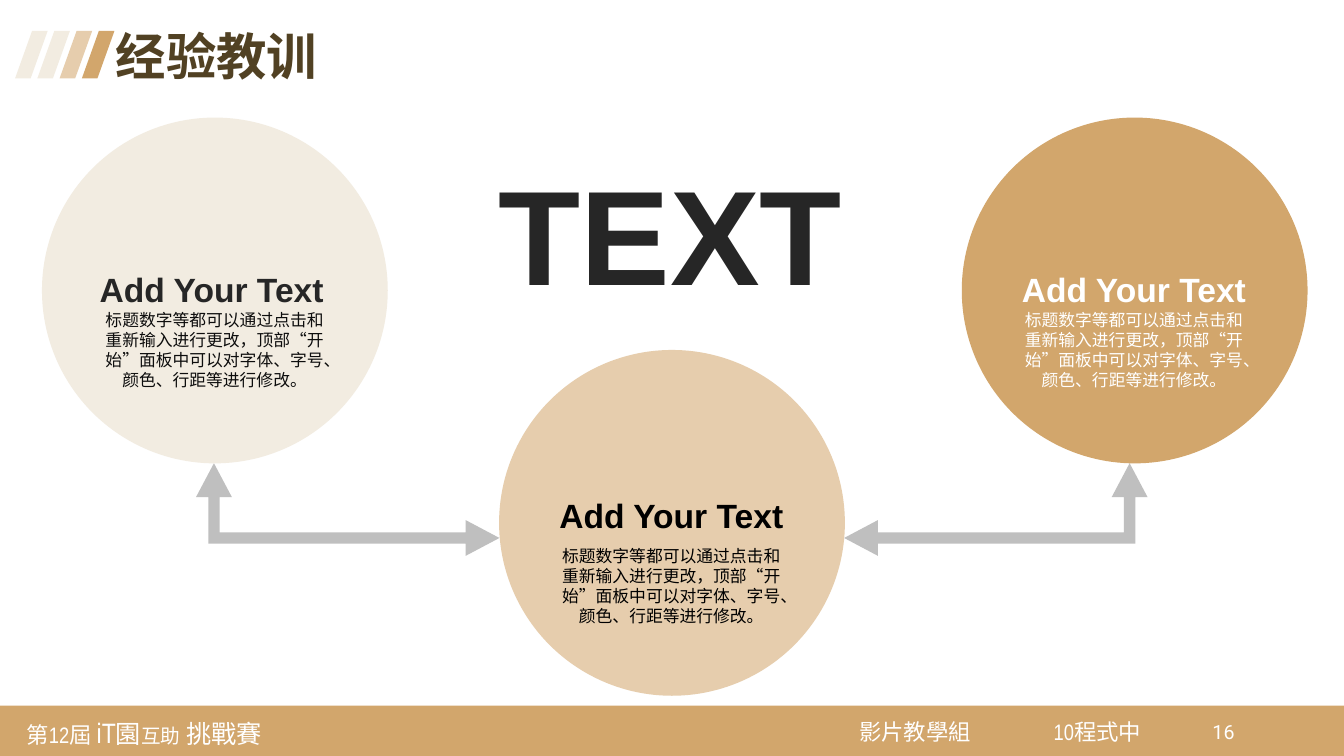
from lxml.etree import SubElement
from pptx import Presentation
from pptx.dml.color import RGBColor
from pptx.enum.shapes import MSO_SHAPE
from pptx.enum.text import MSO_ANCHOR, PP_ALIGN
from pptx.oxml.ns import qn
from pptx.util import Pt

WHITE = RGBColor(0xFF, 0xFF, 0xFF)
BLACK = RGBColor(0, 0, 0)
INK = RGBColor(0x26, 0x26, 0x26)
NEAR_BLACK = RGBColor(0x0D, 0x0D, 0x0D)
BROWN = RGBColor(0x51, 0x41, 0x23)
GOLD = RGBColor(0xD2, 0xA6, 0x6C)
SAND = RGBColor(0xE6, 0xCD, 0xAD)
CREAM = RGBColor(0xF2, 0xEC, 0xE1)
GREY = RGBColor(0xBF, 0xBF, 0xBF)

CJK = "Noto Sans CJK SC"
BODY = ("标题数字等都可以通过点击和重新输入进行更改，顶部“开始”面板中"
        "可以对字体、字号、颜色、行距等进行修改。")


class SlideBuilder:
    """Holds the slide and its text style."""

    def __init__(self, slide):
        self.shapes = slide.shapes

    def shape(self, preset, left, top, width, height, fill, adjustments=()):
        shape = self.shapes.add_shape(preset, Pt(left), Pt(top), Pt(width), Pt(height))
        shape.shadow.inherit = False
        shape.fill.solid()
        shape.fill.fore_color.rgb = fill
        shape.line.fill.background()
        for index, value in enumerate(adjustments):
            shape.adjustments[index] = value
        return shape

    def text(self, left, top, width, height, runs, color, font="Arial", bold=False,
             align=PP_ALIGN.LEFT, wrap=True, spacing=None, footer=False):
        """runs is a list of (text, size) pairs forming one paragraph."""
        box = self.shapes.add_textbox(Pt(left), Pt(top), Pt(width), Pt(height))
        frame = box.text_frame
        frame.word_wrap = wrap
        if footer:
            frame.vertical_anchor = MSO_ANCHOR.MIDDLE
            frame.margin_left = frame.margin_right = Pt(6)
            frame.margin_top = frame.margin_bottom = Pt(6)
        paragraph = frame.paragraphs[0]
        paragraph.alignment = align
        if spacing:
            paragraph.line_spacing = spacing
        style = paragraph.font
        style.name = font
        style.bold = bold
        style.color.rgb = color
        if len(runs) == 1:
            style.size = Pt(runs[0][1])
        for words, size in runs:
            run = paragraph.add_run()
            run.text = words
            if len(runs) > 1:
                run.font.size = Pt(size)
        east_asian = SubElement(paragraph._p.pPr.find(qn("a:defRPr")), qn("a:ea"))
        east_asian.set("typeface", CJK)

    def bent_arrow(self, left, rotation, mirrored=False):
        arrow = self.shape(MSO_SHAPE.LEFT_UP_ARROW, left, 255.6, 66.2, 216.7, GREY,
                           (0.123, 0.193, 0.365))
        arrow.rotation = rotation
        if mirrored:
            arrow._element.spPr.find(qn("a:xfrm")).set("flipH", "1")


def main():
    prs = Presentation()
    prs.slide_width, prs.slide_height = Pt(960), Pt(540)
    page = SlideBuilder(prs.slides.add_slide(prs.slide_layouts[6]))

    # Footer band
    page.shape(MSO_SHAPE.RECTANGLE, 0, 504, 960, 36, GOLD)
    contest = [("第12屆 ", 16), ("iT", 20), ("園", 18), ("互助", 14), (" 挑戰賽", 18)]
    for left, top, width, height, runs in (
            (13, 505.5, 204, 35, contest),
            (607.7, 507, 96, 31, [("影片教學組", 16)]),
            (746.6, 507, 96, 31, [("10程式中", 16)])):
        page.text(left, top, width, height, runs, WHITE, "Arial Narrow", footer=True)
    page.text(859, 510.5, 30, 29.5, [("16", 14)], WHITE, "Roboto")

    # Heading with slanted stripes
    for index, stripe_color in enumerate((CREAM, CREAM, SAND, GOLD)):
        page.shape(MSO_SHAPE.PARALLELOGRAM, 10.8 + 15.9 * index, 22, 23.3, 34,
                   stripe_color, (0.522,))
    page.text(75.6, 19.4, 212, 47, [("经验教训", 36)], BROWN, bold=True, spacing=0.9)

    # Arrows between the circles
    page.bent_arrow(215.3, 90)
    page.bent_arrow(678.2, 270, mirrored=True)

    # Circles: position, fill, heading position and colour, body position and colour
    for left, top, fill, head_x, head_y, head_color, body_x, body_y, body_color in (
            (30, 84, CREAM, 61.2, 188.6, INK, 65.5, 217.4, NEAR_BLACK),
            (687, 84, GOLD, 720, 188.6, WHITE, 722.2, 217.4, WHITE),
            (356.5, 250, SAND, 389.5, 350, BLACK, 391.7, 386, BLACK)):
        page.shape(MSO_SHAPE.OVAL, left, top, 247, 247, fill)
        page.text(body_x, body_y, 175.7, 65.5, [(BODY, 12)], body_color, CJK,
                  align=PP_ALIGN.CENTER)
        page.text(head_x, head_y, 180, 36, [("Add Your Text", 24)], head_color,
                  bold=True, align=PP_ALIGN.CENTER, wrap=False)

    # Central word
    page.text(349.2, 104.4, 262, 124, [("TEXT", 96)], INK, bold=True, wrap=False)

    prs.save("out.pptx")


if __name__ == "__main__":
    main()
